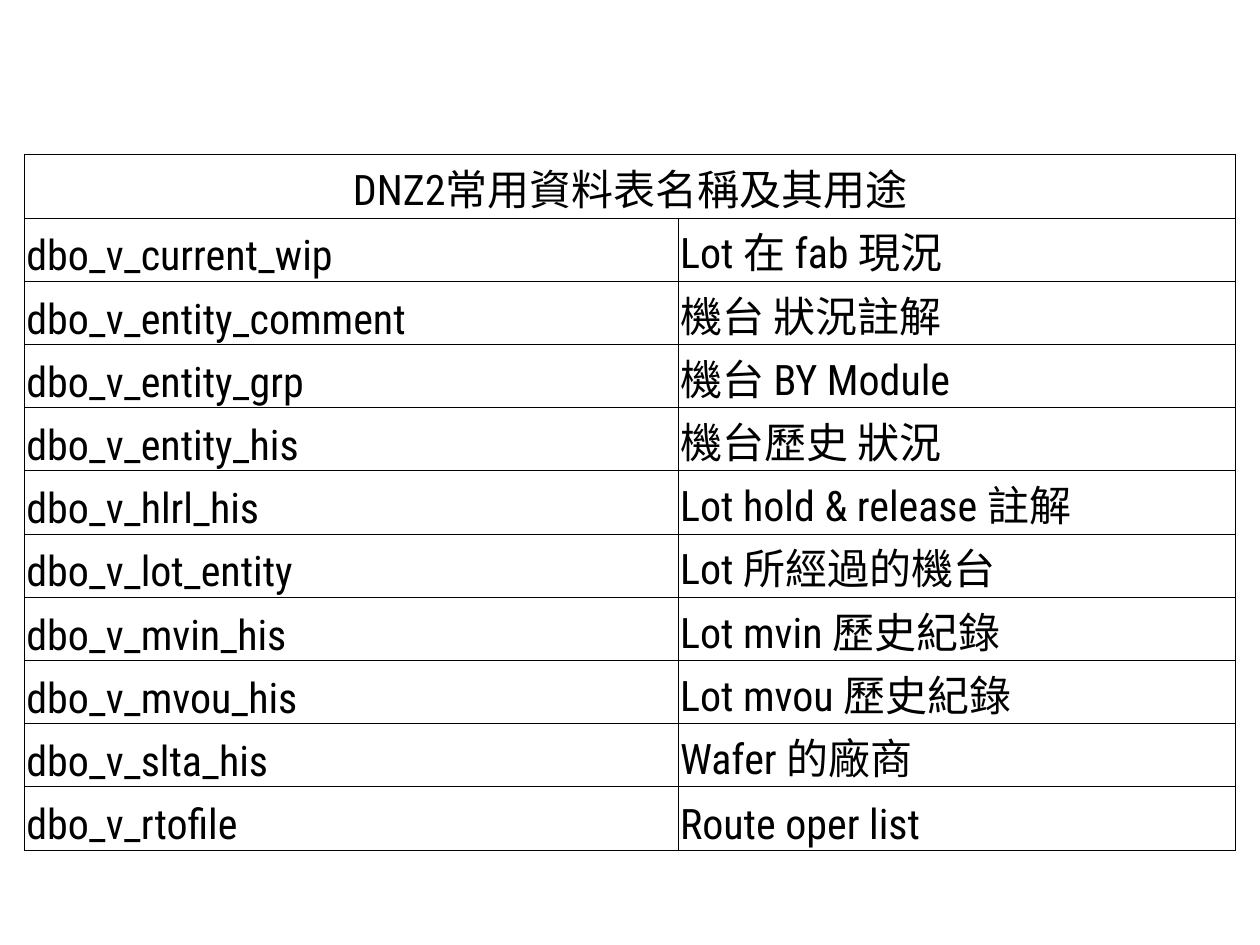
from lxml.etree import SubElement
from pptx import Presentation
from pptx.dml.color import RGBColor
from pptx.enum.text import MSO_ANCHOR, PP_ALIGN
from pptx.oxml.ns import qn
from pptx.util import Cm, Pt

HEADING = "DNZ2常用資料表名稱及其用途"
TABLES = [
    ("dbo_v_current_wip", "Lot 在 fab 現況"),
    ("dbo_v_entity_comment", "機台 狀況註解"),
    ("dbo_v_entity_grp", "機台 BY Module"),
    ("dbo_v_entity_his", "機台歷史 狀況"),
    ("dbo_v_hlrl_his", "Lot hold & release 註解"),
    ("dbo_v_lot_entity", "Lot 所經過的機台"),
    ("dbo_v_mvin_his", "Lot mvin 歷史紀錄"),
    ("dbo_v_mvou_his", "Lot mvou 歷史紀錄"),
    ("dbo_v_slta_his", "Wafer 的廠商"),
    ("dbo_v_rtofile", "Route oper list"),
]

BLACK = RGBColor(0, 0, 0)
COLUMN_WIDTHS = [Cm(13.18), Cm(11.23)]
TABLE_HEIGHT = Cm(14.02)
CELL_FORMAT = {
    "margin_left": Cm(0.03),
    "margin_right": Cm(0.03),
    "margin_top": Cm(0.03),
    "margin_bottom": Cm(0),
    "vertical_anchor": MSO_ANCHOR.BOTTOM,
}
FONT_FORMAT = {"name": "Roboto Condensed", "size": Pt(24)}


def set_format(target, values):
    for name, value in values.items():
        setattr(target, name, value)


def add_borders(cell):
    tc_pr = cell._tc.get_or_add_tcPr()
    for side in ("lnL", "lnR", "lnT", "lnB"):
        line = SubElement(tc_pr, qn(f"a:{side}"), w=str(Pt(0.5)))
        fill = SubElement(line, qn("a:solidFill"))
        SubElement(fill, qn("a:srgbClr"), val=str(BLACK))


def format_cell(cell, text, align):
    set_format(cell, CELL_FORMAT)
    add_borders(cell)
    cell.fill.background()
    p = cell.text_frame.paragraphs[0]
    p.alignment = align
    set_format(p.font, FONT_FORMAT)
    if text:
        r = p.add_run()
        r.text = text
        set_format(r.font, FONT_FORMAT)
        r.font.color.rgb = BLACK


def main():
    prs = Presentation()
    prs.slide_width, prs.slide_height = Cm(25.4), Cm(19.05)
    s = prs.slides.add_slide(prs.slide_layouts[6])

    rows = [(HEADING, "")] + TABLES
    table = s.shapes.add_table(
        len(rows), len(COLUMN_WIDTHS), Cm(0.5), Cm(3.12),
        sum(COLUMN_WIDTHS), TABLE_HEIGHT,
    ).table
    set_format(table, {"first_row": False, "horz_banding": False})
    for column, width in zip(table.columns, COLUMN_WIDTHS):
        column.width = width

    for i, texts in enumerate(rows):
        table.rows[i].height = TABLE_HEIGHT // len(rows)
        align = PP_ALIGN.LEFT if i else PP_ALIGN.CENTER
        for j, text in enumerate(texts):
            format_cell(table.cell(i, j), text, align)
    table.cell(0, 0).merge(table.cell(0, 1))

    prs.save("out.pptx")


if __name__ == "__main__":
    main()
